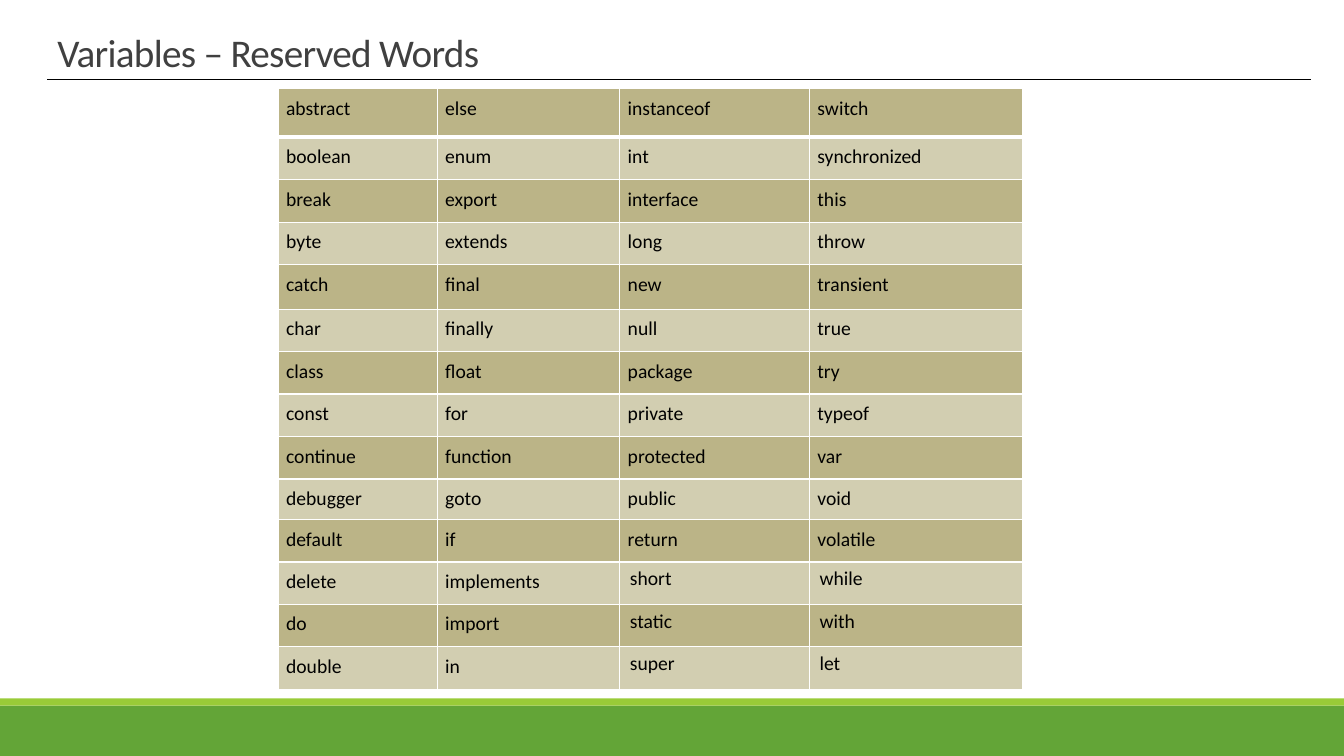
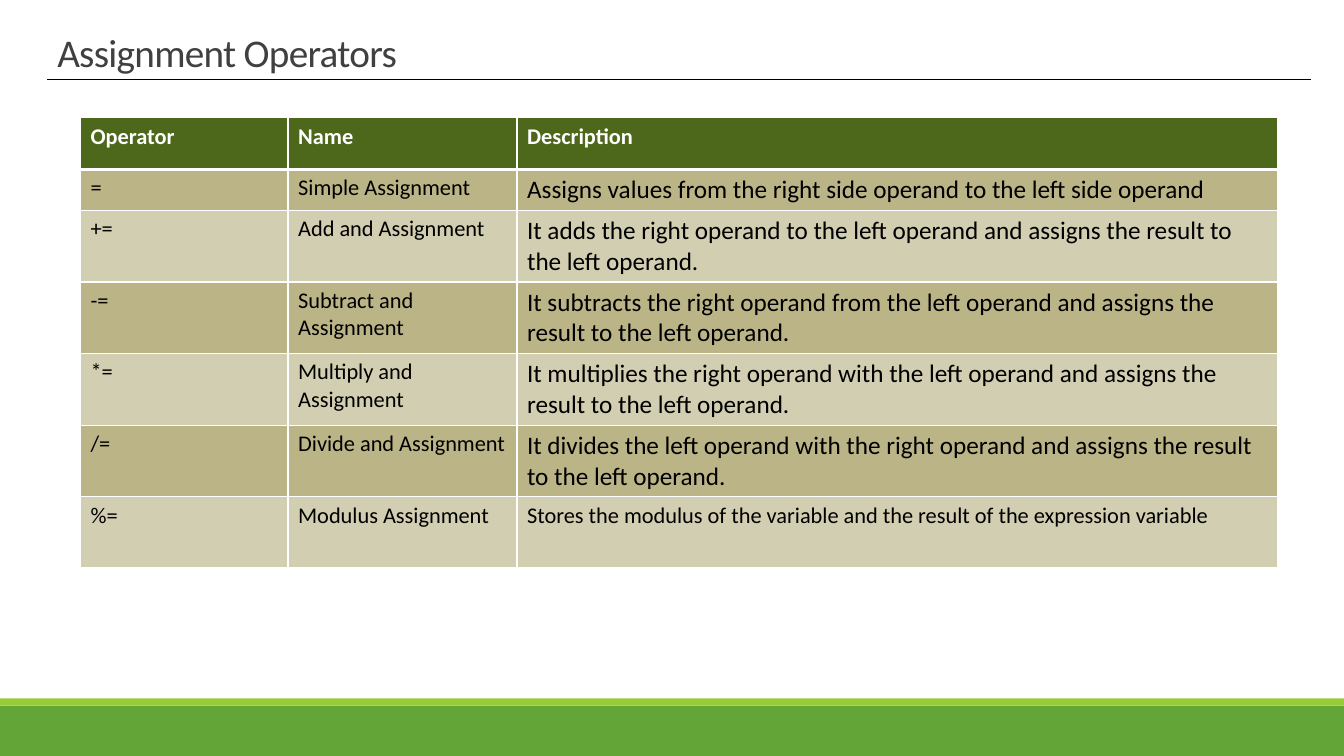
from pptx import Presentation
from pptx.dml.color import RGBColor
from pptx.enum.shapes import MSO_CONNECTOR, MSO_SHAPE
from pptx.enum.text import MSO_ANCHOR, PP_ALIGN
from pptx.oxml import parse_xml
from pptx.oxml.ns import nsdecls
from pptx.util import Cm, Pt

FONT = "Calibri"
GREEN, LIME, HEADER = "63A537", "99CB38", "4D671B"
KHAKI, SAND = "BBB487", "D2CEB1"
WHITE, BLACK, GREY = "FFFFFF", "000000", "404040"


def rgb(value):
    return RGBColor.from_string(value)


def style_cell(cell, text, fill, font, top=1, bottom=1):
    """Write one cell; top and bottom are border widths in points."""
    cell.fill.solid()
    cell.fill.fore_color.rgb = rgb(fill)
    r = cell.text_frame.paragraphs[0].add_run()
    r.text = text
    r.font.name = FONT
    r.font.color.rgb = rgb(font.pop("color"))
    for name, value in font.items():
        setattr(r.font, name, value)
    tcPr = cell._tc.get_or_add_tcPr()
    for i, (side, width) in enumerate({"L": 1, "R": 1, "T": top, "B": bottom}.items()):
        tcPr.insert(i, parse_xml(
            f'<a:ln{side} {nsdecls("a")} w="{Pt(width)}"><a:solidFill>'
            f'<a:srgbClr val="{WHITE}"/></a:solidFill></a:ln{side}>'))


prs = Presentation()
prs.slide_width, prs.slide_height = Cm(33.87), Cm(19.05)

# Shared layout: title position and the two bands at the foot
layout = prs.slide_layouts[5]
title = layout.placeholders[0]
title.left, title.top, title.width, title.height = Cm(1.19), Cm(-2.01), Cm(27.94), Cm(4.04)
title.text_frame.vertical_anchor = MSO_ANCHOR.BOTTOM

titles = ["Variables – Reserved Words", "Assignment Operators"]
slides = [prs.slides.add_slide(layout) for _ in titles]

bands = [(17.78, 1.27, GREEN), (17.6, 0.18, LIME)]
for i, (top, height, color) in enumerate(bands):
    sp = slides[0].shapes.add_shape(MSO_SHAPE.RECTANGLE, 0, Cm(top), prs.slide_width, Cm(height))
    sp.shadow.inherit = False
    sp.fill.solid()
    sp.fill.fore_color.rgb = rgb(color)
    sp.line.fill.background()
    sp.element.nvSpPr.cNvPr.set("id", str(20 + i))
    layout.shapes.element.insert(2 + i, sp.element)

# Title and rule of each slide
for s, text in zip(slides, titles):
    p = s.shapes.title.text_frame.paragraphs[0]
    p.alignment = PP_ALIGN.LEFT
    p.line_spacing = 0.85
    r = p.add_run()
    r.text = text
    r.font.name, r.font.size = FONT, Pt(28)
    r.font.color.rgb = rgb(GREY)
    r.font._element.set("spc", "-50")
    rule = s.shapes.add_connector(MSO_CONNECTOR.STRAIGHT, Cm(1.19), Cm(2.01), Cm(33.05), Cm(2.01))
    rule.line.color.rgb = rgb(BLACK)
    rule.line.width = Pt(1)
    rule.element.spPr.append(parse_xml(f'<a:effectLst {nsdecls("a")}/>'))

# Slide 1: reserved words, listed column by column
word_columns = [
    "abstract boolean break byte catch char class const continue debugger default delete do double",
    "else enum export extends final finally float for function goto if implements import in",
    "instanceof int interface long new null package private protected public return short static super",
    "switch synchronized this throw transient true try typeof var void volatile while with let",
]
word_rows = list(zip(*(column.split() for column in word_columns)))
word_heights = [1.22] + [1.07] * 3 + [1.12] + [1.07] * 4 + [1.02] + [1.07] * 4

# Slide 2: operators
operator_rows = [
    ("Operator", "Name", "Description"),
    ("=", "Simple Assignment",
     "Assigns values from the right side operand to the left side operand"),
    ("+=", "Add and Assignment",
     "It adds the right operand to the left operand and assigns the result to the left operand."),
    ("-=", "Subtract and Assignment",
     "It subtracts the right operand from the left operand and assigns the result to the left operand."),
    ("*=", "Multiply and Assignment",
     "It multiplies the right operand with the left operand and assigns the result to the left operand."),
    ("/=", "Divide and Assignment",
     "It divides the left operand with the right operand and assigns the result to the left operand."),
    ("%=", "Modulus Assignment",
     "Stores the modulus of the variable and the result of the expression variable"),
]
operator_heights = [1.3, 1.02] + [1.8] * 4 + [1.78]

tables = []
for s, rows, left, top, widths, heights in [
    (slides[0], word_rows, 7.01, 2.24, [4.01, 4.6, 4.78, 5.36], word_heights),
    (slides[1], operator_rows, 2.03, 2.97, [5.23, 5.77, 19.18], operator_heights),
]:
    table = s.shapes.add_table(len(rows), len(widths), Cm(left), Cm(top),
                               Cm(sum(widths)), Cm(sum(heights))).table
    for column, width in zip(table.columns, widths):
        column.width = Cm(width)
    for row, height in zip(table.rows, heights):
        row.height = Cm(height)
    tables.append(table)
words, operators = tables

for i, row in enumerate(word_rows):
    for j, text in enumerate(row):
        cell = words.cell(i, j)
        if i < 11 or j < 2:
            for side in ("left", "right", "top", "bottom"):
                setattr(cell, f"margin_{side}", Cm(0.2))
        style_cell(cell, text, SAND if i % 2 else KHAKI,
                   {"size": Pt(14), "bold": False, "color": BLACK},
                   top=3 if i == 1 else 1, bottom=3 if i == 0 else 1)

for i, row in enumerate(operator_rows):
    for j, text in enumerate(row):
        header = i == 0
        large = j == 2 and 0 < i < len(operator_rows) - 1
        fill = HEADER if header else KHAKI if i % 2 else SAND
        style_cell(operators.cell(i, j), text, fill,
                   {"size": Pt(18 if large else 16), "bold": header,
                    "color": WHITE if header else BLACK},
                   top=3 if i == 1 else 1, bottom=3 if header else 1)

prs.save("out.pptx")
